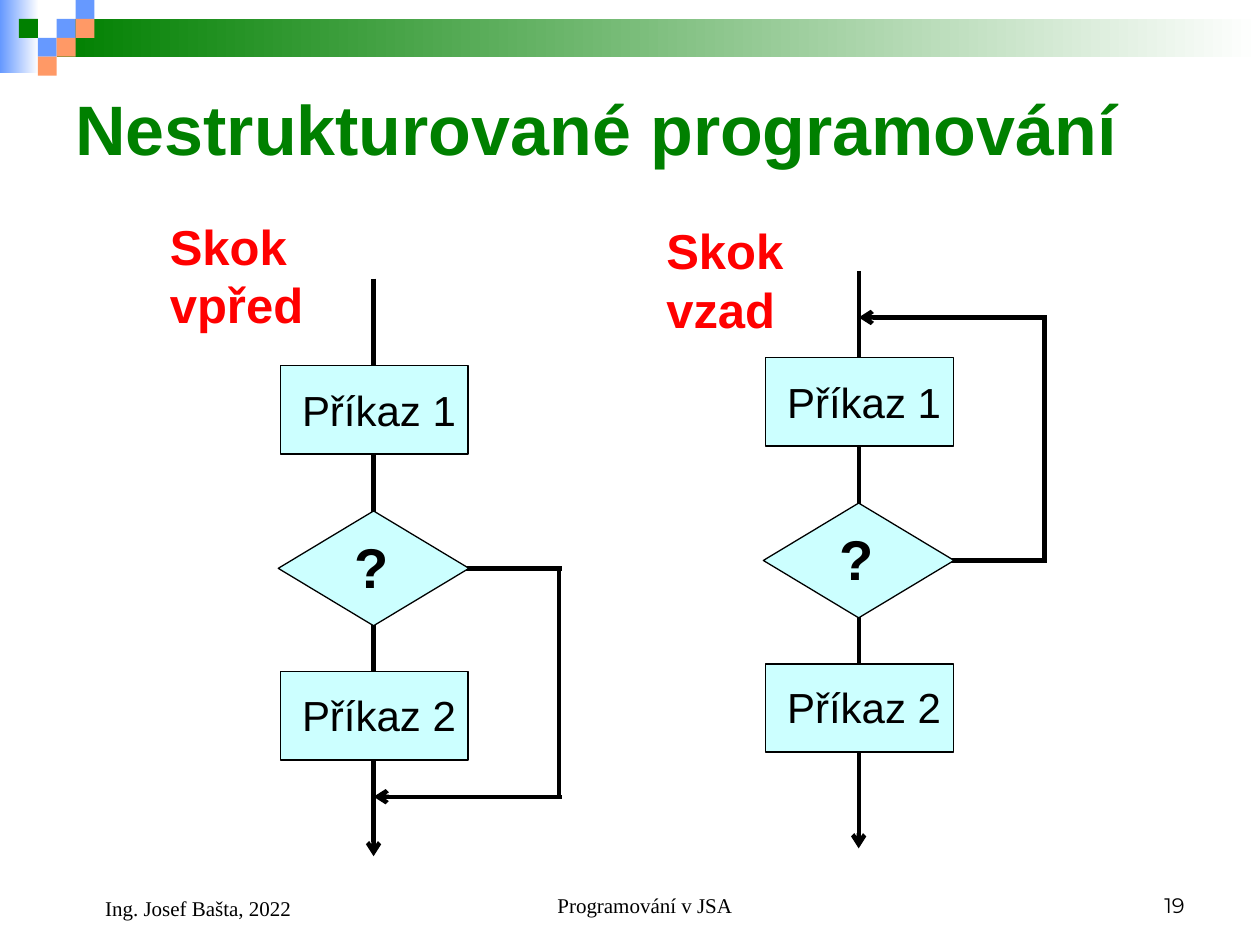
from lxml import etree
from pptx import Presentation
from pptx.dml.color import RGBColor
from pptx.enum import shapes, text
from pptx.oxml.ns import qn
from pptx.util import Pt

BLACK = RGBColor(0x00, 0x00, 0x00)
WHITE = RGBColor(0xFF, 0xFF, 0xFF)
GREEN = RGBColor(0x00, 0x80, 0x00)
RED = RGBColor(0xFF, 0x00, 0x00)
BLUE = RGBColor(0x66, 0x99, 0xFF)
ORANGE = RGBColor(0xFF, 0x99, 0x66)
CYAN = RGBColor(0xCC, 0xFF, 0xFF)

SHAPE = shapes.MSO_SHAPE
LEFT, CENTER, RIGHT = text.PP_ALIGN.LEFT, text.PP_ALIGN.CENTER, text.PP_ALIGN.RIGHT
TOP, MIDDLE, BOTTOM = text.MSO_ANCHOR.TOP, text.MSO_ANCHOR.MIDDLE, text.MSO_ANCHOR.BOTTOM


def add_box(s, kind, x, y, w, h, color, outlined=False):
    sp = s.shapes.add_shape(kind, Pt(x), Pt(y), Pt(w), Pt(h))
    sp.shadow.inherit = False
    sp.fill.solid()
    sp.fill.fore_color.rgb = color
    if outlined:
        sp.line.color.rgb = BLACK
        sp.line.width = Pt(0.75)
    else:
        sp.line.fill.background()
    return sp


def add_fade(s, x, y, w, h, color):
    sp = add_box(s, SHAPE.RECTANGLE, x, y, w, h, color)
    sp.fill.gradient()
    sp.fill.gradient_angle = 180
    for stop, rgb in zip(sp.fill.gradient_stops, (WHITE, color)):
        stop.color.rgb = rgb


def add_line(s, x1, y1, x2, y2, arrow=False):
    cn = s.shapes.add_connector(shapes.MSO_CONNECTOR.STRAIGHT,
                                Pt(x1), Pt(y1), Pt(x2), Pt(y2))
    cn.line.color.rgb = BLACK
    cn.line.width = Pt(2.5)
    if arrow:
        etree.SubElement(cn.line._get_or_add_ln(), qn("a:tailEnd"), type="arrow")
    etree.SubElement(cn._element.spPr, qn("a:effectLst"))


def add_text(s, x, y, w, h, words, size, color=BLACK, bold=False,
             font="Arial", align=LEFT, anchor=TOP, margin=0):
    tf = s.shapes.add_textbox(Pt(x), Pt(y), Pt(w), Pt(h)).text_frame
    tf.word_wrap = True
    tf.vertical_anchor = anchor
    tf.text = words
    p = tf.paragraphs[0]
    p.alignment = align
    if margin:
        p._p.get_or_add_pPr().set("marL", str(Pt(margin)))
    r = p.runs[0]
    r.font.name = font
    r.font.size = Pt(size)
    r.font.bold = bold
    r.font.color.rgb = color


def banner(s, x, y, w):
    # Fading bars, then a mosaic of small squares
    side = 10.8
    add_fade(s, x, y, 22.3, 42, BLUE)
    add_fade(s, x + 32.4, y + side, w - 32.4, 2 * side, GREEN)
    mosaic = ((3, 1, BLUE), (4, 0, BLUE), (4, 1, ORANGE), (2, 2, BLUE),
              (1, 1, GREEN), (3, 2, ORANGE), (2, 3, ORANGE))
    for col, row, color in mosaic:
        add_box(s, SHAPE.RECTANGLE, x + col * side, y + row * side, side, side, color)


def flowchart(s, x, y, jump_y):
    """Two commands and a decision; the jump rejoins the axis at jump_y."""
    axis, branch, decision_y = x + 54.5, x + 162, y + 165.5
    # Flow lines behind the symbols
    add_line(s, branch, decision_y, axis, decision_y)
    add_line(s, axis, y, axis, y + 330, arrow=True)
    # Symbols
    for top in (49.7, 224.6):
        add_box(s, SHAPE.FLOWCHART_PROCESS, x + 1.2, y + top, 107.3, 50.4, CYAN, True)
    add_box(s, SHAPE.FLOWCHART_DECISION, x, y + 132.7, 109, 65.6, CYAN, True)
    # Labels
    for top, label in ((57, "Příkaz 1"), (231.2, "Příkaz 2")):
        add_text(s, x + 6.5, y + top, 104.4, 36, label, 24)
    add_text(s, x + 36.7, y + 141.6, 41.8, 46, "?", 32, bold=True)
    # Jump
    add_line(s, branch, y + jump_y, axis, y + jump_y, arrow=True)
    add_line(s, branch - 1.4, decision_y, branch - 1.4, y + jump_y)


def footer(s, x, y, w):
    serif = "Times New Roman"
    add_text(s, x, y, 168, 37.4, "Ing. Josef Bašta, 2022", 12,
             font=serif, anchor=BOTTOM, margin=17)
    add_text(s, x + 210, y, 228, 36, "Programování v JSA", 12,
             font=serif, align=CENTER, anchor=BOTTOM, margin=17)
    add_text(s, x + w - 168, y, 168, 36, "19", 12,
             font="Montserrat", align=RIGHT, anchor=BOTTOM)


def main():
    prs = Presentation()
    prs.slide_width, prs.slide_height = Pt(720), Pt(540)
    s = prs.slides.add_slide(prs.slide_layouts[6])
    banner(s, 0, 0, 720)
    flowchart(s, 159, 159.3, jump_y=296)
    flowchart(s, 436.2, 154.8, jump_y=26.6)
    # Title and headings
    add_text(s, 36, 36, 648, 74.2, "Nestrukturované programování", 40,
             GREEN, True, anchor=MIDDLE)
    add_text(s, 90, 120, 111.6, 75, "Skok vpřed", 28, RED, True)
    add_text(s, 373.7, 122.4, 100.8, 75, "Skok vzad", 28, RED, True)
    footer(s, 36, 492, 648)
    prs.save("out.pptx")


if __name__ == "__main__":
    main()
